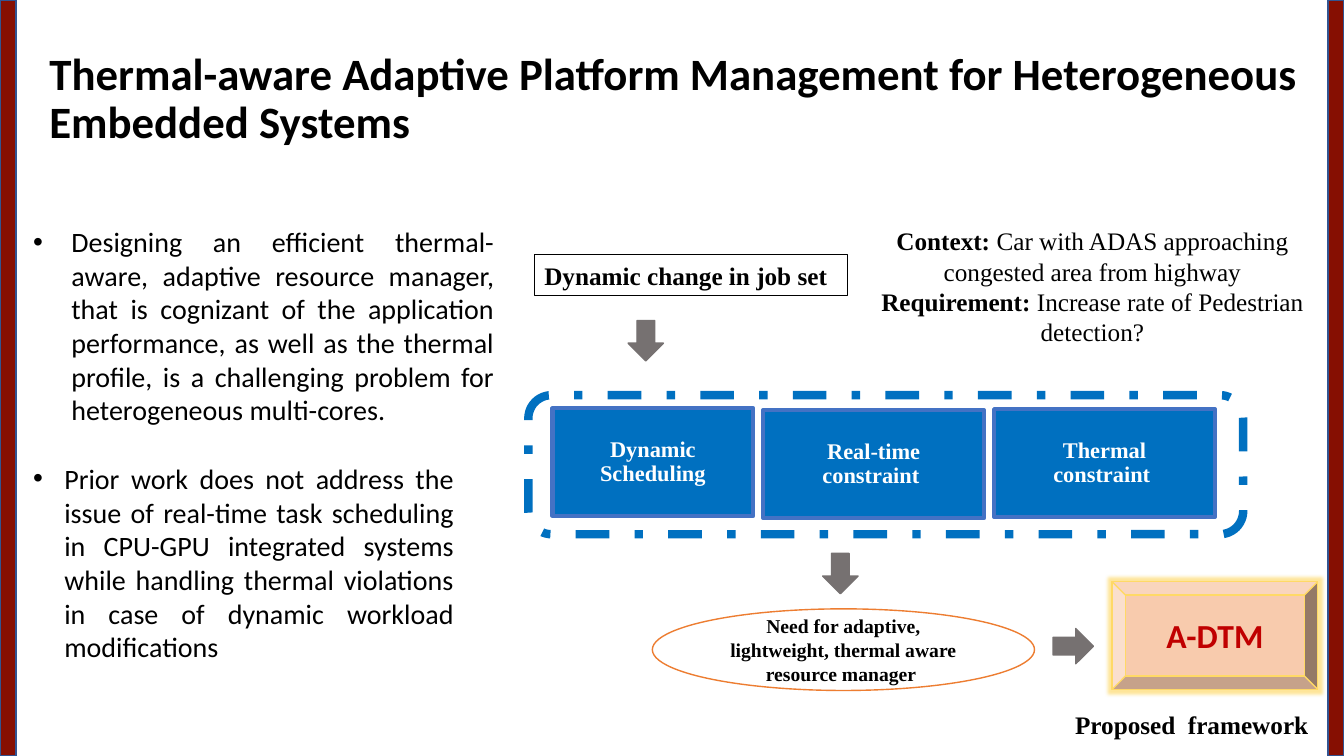
from lxml.etree import SubElement
from pptx import Presentation
from pptx.dml.color import RGBColor
from pptx.enum.dml import MSO_LINE
from pptx.enum.shapes import MSO_SHAPE
from pptx.enum.text import MSO_ANCHOR, PP_ALIGN
from pptx.oxml.ns import qn
from pptx.util import Pt

PX = 9144
WIDTH, HEIGHT = 1333, 750
SERIF, SANS = "Times New Roman", "Calibri"
BLACK, WHITE, GREY, BLUE = "000000", "FFFFFF", "767171", "0070C0"

TITLE = "Thermal-aware Adaptive Platform Management for Heterogeneous Embedded Systems"
BULLETS = [
    ((23, 218, 477, 212), 38,
     "Designing an efficient thermal-aware, adaptive resource manager, that is "
     "cognizant of the application performance, as well as the thermal profile, "
     "is a challenging problem for heterogeneous multi-cores."),
    ((23, 453, 437, 246), 31,
     "Prior work does not address the issue of real-time task scheduling in "
     "CPU-GPU integrated systems while handling thermal violations in case of "
     "dynamic workload modifications"),
]
SCENARIO = [
    ("Context: ", "Car with ADAS approaching congested area from highway"),
    ("Requirement: ", "Increase rate of Pedestrian detection?"),
]
CONSTRAINTS = [
    ((548, 405, 199, 107), "Dynamic Scheduling"),
    ((757, 407, 219, 107), "Real-time constraint "),
    ((986, 406, 219, 107), "Thermal constraint "),
]
ARROWS = [(816, 549, 0), (623, 318, 0), (1047, 621, 270)]
ARROW_SIZE = (35, 40)
BAR_WIDTH = 16


def rgb(color):
    return RGBColor.from_string(color)


def emu(box):
    return [v * PX for v in box]


def add_box(kind, box, fill=None, line=None, weight=1):
    sp = slide.shapes.add_shape(kind, *emu(box))
    sp.shadow.inherit = False
    if fill:
        sp.fill.solid()
        sp.fill.fore_color.rgb = rgb(fill)
    else:
        sp.fill.background()
    sp.line.color.rgb = rgb(line)
    sp.line.width = Pt(weight)
    return sp


def add_text(box):
    return slide.shapes.add_textbox(*emu(box))


def write(sp, paragraphs, size, font=SERIF, color=BLACK, align=PP_ALIGN.CENTER,
          anchor=MSO_ANCHOR.TOP, insets=(10, 5), spacing=None):
    tf = sp.text_frame
    tf.word_wrap = True
    tf.vertical_anchor = anchor
    tf.margin_left = tf.margin_right = insets[0] * PX
    tf.margin_top = tf.margin_bottom = insets[1] * PX
    for i, runs in enumerate(paragraphs):
        p = tf.add_paragraph() if i else tf.paragraphs[0]
        p.alignment = align
        if spacing:
            p.line_spacing = spacing
        for text, bold in runs:
            r = p.add_run()
            r.text = text
            r.font.size = Pt(size)
            r.font.name = font
            r.font.bold = bold
            r.font.color.rgb = rgb(color)


def add_bullet(p, indent):
    pPr = p._p.get_or_add_pPr()
    pPr.set("marL", str(indent * PX))
    pPr.set("indent", str(-indent * PX))
    SubElement(pPr, qn("a:buFont"), typeface="Arial")
    SubElement(pPr, qn("a:buChar"), char="•")


def add_glow(sp, color, radius, alpha):
    effects = sp._element.spPr.find(qn("a:effectLst"))
    glow = SubElement(effects, qn("a:glow"), rad=str(Pt(radius)))
    clr = SubElement(glow, qn("a:srgbClr"), val=color)
    SubElement(clr, qn("a:alpha"), val=str(alpha * 1000))


prs = Presentation()
prs.slide_width, prs.slide_height = WIDTH * PX, HEIGHT * PX
slide = prs.slides.add_slide(prs.slide_layouts[6])

for x in (0, WIDTH - BAR_WIDTH):
    add_box(MSO_SHAPE.RECTANGLE, (x, 0, BAR_WIDTH, HEIGHT), "860F02", "325491")

write(add_text((36, 60, 1286, 100)), [[(TITLE, True)]], 32, SANS,
      align=PP_ALIGN.LEFT, anchor=MSO_ANCHOR.BOTTOM, insets=(13, 13), spacing=0.89)

for box, indent, text in BULLETS:
    sp = add_text(box)
    write(sp, [[(text, False)]], 20, SANS, align=PP_ALIGN.JUSTIFY)
    add_bullet(sp.text_frame.paragraphs[0], indent)

write(add_text((851, 219, 465, 162)),
      [[(label, True), (text, False)] for label, text in SCENARIO], 18)

job_set = add_box(MSO_SHAPE.RECTANGLE, (530, 253, 311, 40), line=BLACK, weight=0.75)
write(job_set, [[("Dynamic change in job set", True)]], 18, align=PP_ALIGN.LEFT)

for box, text in CONSTRAINTS:
    sp = add_box(MSO_SHAPE.RECTANGLE, box, BLUE, "4472C4", 3)
    write(sp, [[(text, True)]], 16, color=WHITE, anchor=MSO_ANCHOR.MIDDLE,
          insets=(21, 12), spacing=0.9)

frame = add_box(MSO_SHAPE.ROUNDED_RECTANGLE, (524, 392, 709, 138), line=BLUE, weight=6)
frame.line.dash_style = MSO_LINE.DASH_DOT

need = add_box(MSO_SHAPE.OVAL, (647, 604, 379, 81), WHITE, "ED7D31")
write(need, [[("Need for adaptive, lightweight, thermal aware resource manager ", True)]],
      14, anchor=MSO_ANCHOR.MIDDLE)

for x, y, angle in ARROWS:
    sp = add_box(MSO_SHAPE.DOWN_ARROW, (x, y, *ARROW_SIZE), GREY, GREY)
    sp.rotation = angle

framework = add_box(MSO_SHAPE.BEVEL, (1103, 577, 204, 107), "F8CBAD", "FFD966")
add_glow(framework, "FFC000", 5, 40)
write(framework, [[("A-DTM", True)]], 24, SANS, "C00000", anchor=MSO_ANCHOR.MIDDLE)
write(add_text((986, 699, 392, 40)), [[("Proposed  framework", True)]], 18)

prs.save("out.pptx")
